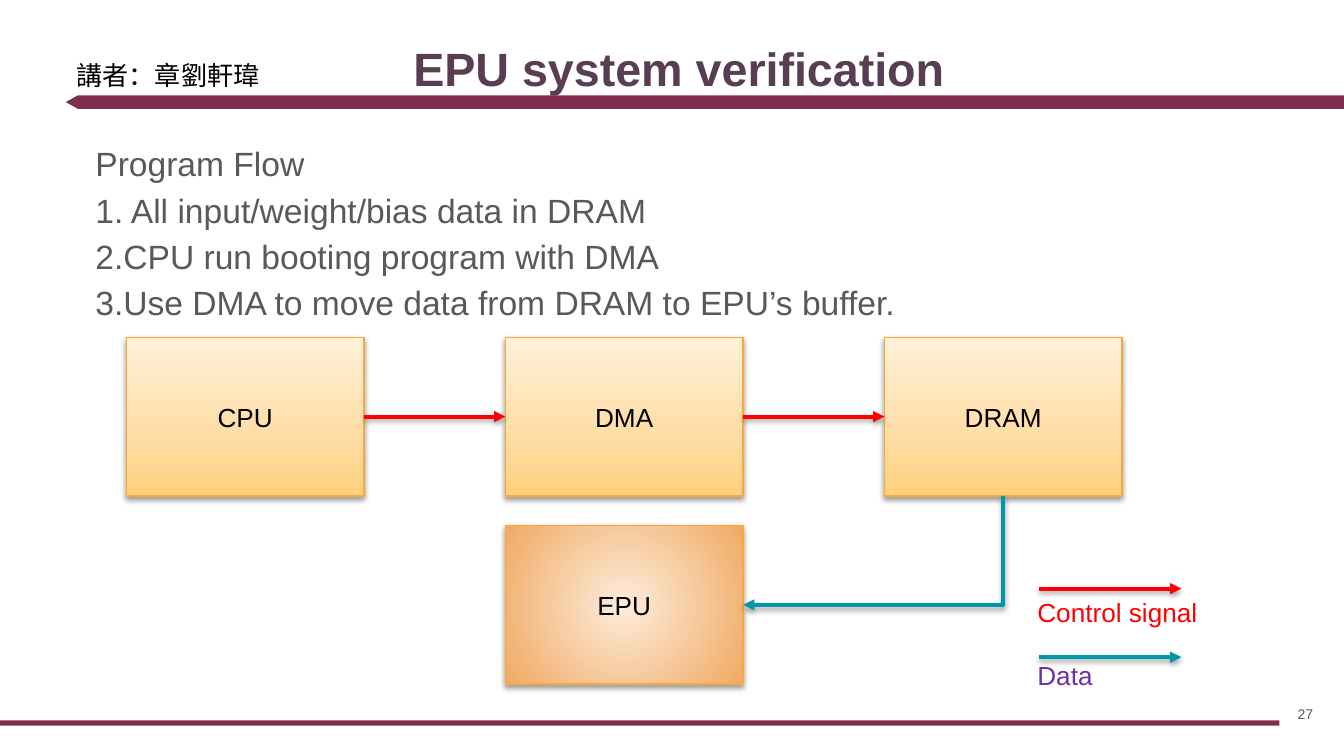
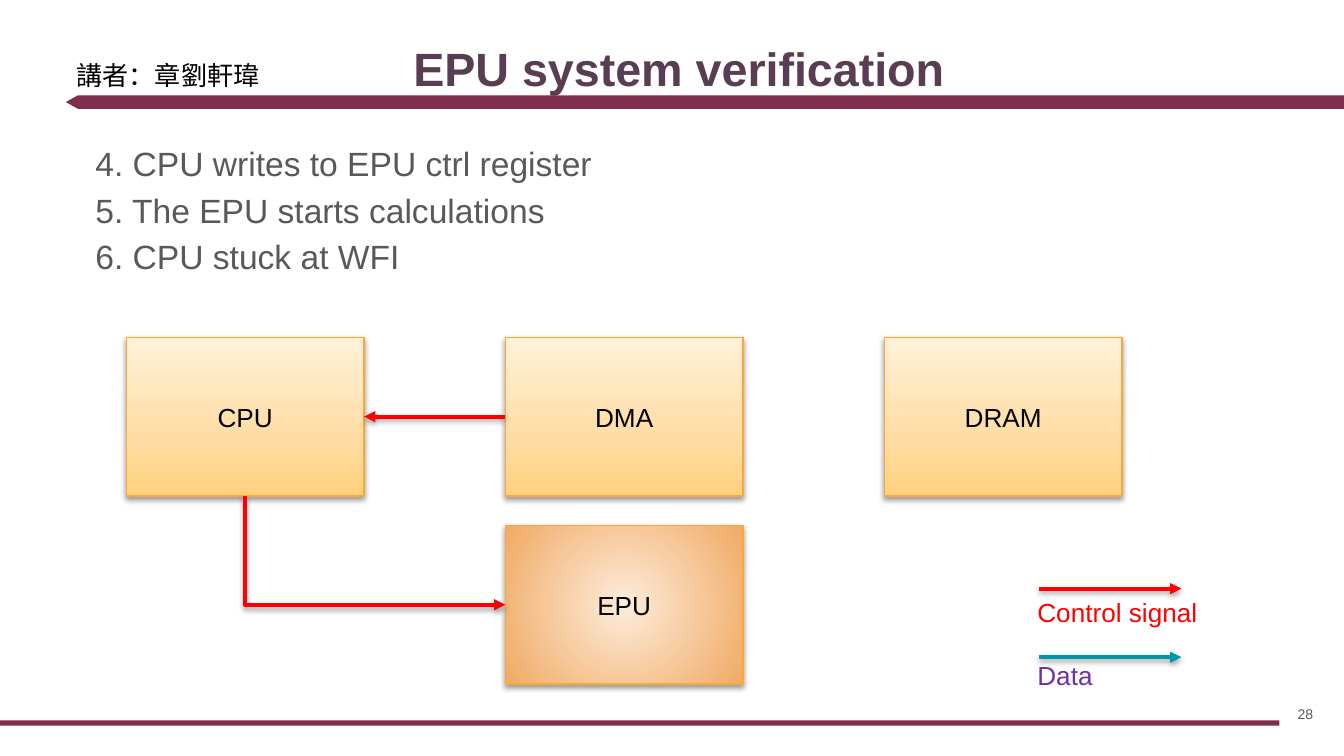
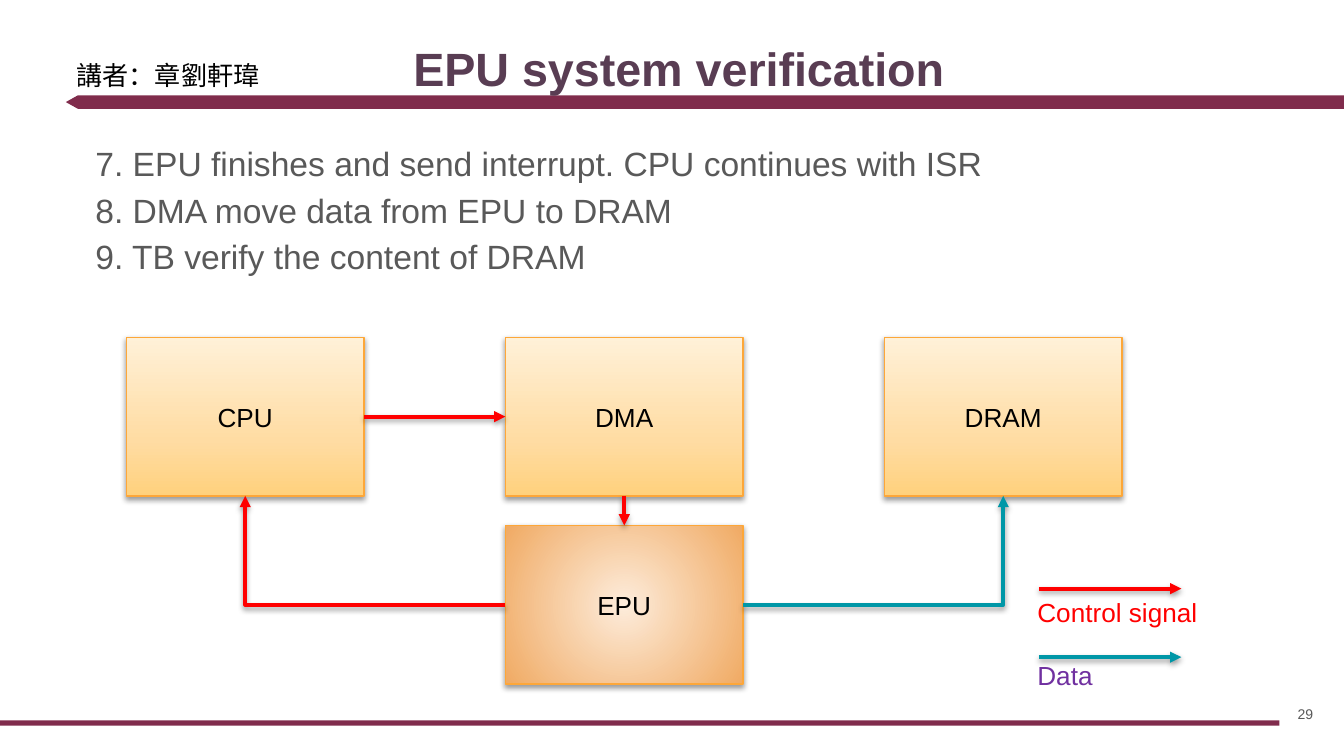
from dataclasses import dataclass

from lxml.etree import SubElement
from pptx import Presentation
from pptx.dml.color import RGBColor
from pptx.enum.shapes import MSO_CONNECTOR as Connector, MSO_SHAPE as Preset
from pptx.enum.text import MSO_ANCHOR as Anchor, MSO_AUTO_SIZE as AutoSize, PP_ALIGN as Align
from pptx.oxml import parse_xml
from pptx.oxml.ns import nsdecls, qn
from pptx.util import Inches, Pt

# Shared look
SLIDE_WIDTH = Inches(10)
SLIDE_HEIGHT = SLIDE_WIDTH * 9 // 16
FONT = "Arial"
WINE = RGBColor(0x80, 0x2C, 0x4C)
PLUM = RGBColor(0x59, 0x3D, 0x53)
GRAY = RGBColor(0x59, 0x59, 0x59)
BLACK = RGBColor(0x00, 0x00, 0x00)
WHITE = RGBColor(0xFF, 0xFF, 0xFF)
RED = RGBColor(0xFF, 0x00, 0x00)
TEAL = RGBColor(0x00, 0x97, 0xA7)
PURPLE = RGBColor(0x70, 0x30, 0xA0)
ORANGE = RGBColor(0xFD, 0xA7, 0x39)
AMBER_STOPS = (
    (0, RGBColor(0xFF, 0xD1, 0x7D)),
    (35, RGBColor(0xFF, 0xDC, 0xA3)),
    (100, RGBColor(0xFF, 0xF1, 0xD8)),
)
PEACH_STOPS = ((0, RGBColor(0xFD, 0xEC, 0xDB)), (100, RGBColor(0xF0, 0xAA, 0x63)))
UPWARD = '<a:lin ang="16200000" scaled="0"/>'
FROM_CENTRE = '<a:path path="circle"><a:fillToRect l="50000" t="50000" r="50000" b="50000"/></a:path>'

TITLE = "EPU system verification"
SPEAKER = "講者：章劉軒瑋"
FIRST_NUMBER = 27

# Block grid and connection sites
BLOCK_LEFT, BLOCK_TOP = 0.94, 2.51
BLOCK_WIDTH, BLOCK_HEIGHT = 1.77, 1.18
COLUMN_STEP, ROW_STEP = 2.82, 1.4
TOP, LEFT, BOTTOM, RIGHT = range(4)


@dataclass(frozen=True)
class Block:
    name: str
    column: int
    row: int = 0
    stops: tuple = AMBER_STOPS
    direction: str = UPWARD


@dataclass(frozen=True)
class Link:
    start: str
    start_side: int
    end: str
    end_side: int
    color: RGBColor = RED
    elbow: bool = False


@dataclass(frozen=True)
class Step:
    lines: tuple
    links: tuple


@dataclass(frozen=True)
class LegendEntry:
    label: str
    label_color: RGBColor
    line_color: RGBColor
    top: float


BLOCKS = (
    Block("CPU", 0),
    Block("DMA", 1),
    Block("EPU", 1, 1, PEACH_STOPS, FROM_CENTRE),
    Block("DRAM", 2),
)
LEGEND = (
    LegendEntry("Control signal", RED, RED, 4.38),
    LegendEntry("Data", PURPLE, TEAL, 4.89),
)
STEPS = (
    Step(
        (
            "Program Flow",
            "1. All input/weight/bias data in DRAM",
            "2.CPU run booting program with DMA",
            "3.Use DMA to move data from DRAM to EPU’s buffer.",
        ),
        (
            Link("CPU", RIGHT, "DMA", LEFT),
            Link("DMA", RIGHT, "DRAM", LEFT),
            Link("DRAM", BOTTOM, "EPU", RIGHT, TEAL, elbow=True),
        ),
    ),
    Step(
        (
            "4. CPU writes to EPU ctrl register",
            "5. The EPU starts calculations",
            "6. CPU stuck at WFI",
        ),
        (
            Link("CPU", BOTTOM, "EPU", LEFT, elbow=True),
            Link("DMA", LEFT, "CPU", RIGHT),
        ),
    ),
    Step(
        (
            "7. EPU finishes and send interrupt. CPU continues with ISR",
            "8. DMA move data from EPU to DRAM",
            "9. TB verify the content of DRAM",
        ),
        (
            Link("EPU", LEFT, "CPU", BOTTOM, elbow=True),
            Link("CPU", RIGHT, "DMA", LEFT),
            Link("DMA", BOTTOM, "EPU", TOP),
            Link("EPU", RIGHT, "DRAM", BOTTOM, TEAL, elbow=True),
        ),
    ),
)


# Text helpers
def place(shape, left: float, top: float, width: float, height: float) -> None:
    shape.left, shape.top = Inches(left), Inches(top)
    shape.width, shape.height = Inches(width), Inches(height)


def prepare_frame(shape, anchor=Anchor.TOP, margin: float = 0.1):
    frame = shape.text_frame
    frame.word_wrap = True
    frame.auto_size = AutoSize.NONE
    frame.vertical_anchor = anchor
    frame.margin_left = frame.margin_right = Inches(0.1)
    frame.margin_top = frame.margin_bottom = Inches(margin)
    return frame


def add_run(paragraph, text: str, size: float, color: RGBColor, bold: bool = False) -> None:
    run = paragraph.add_run()
    run.text = text
    run.font.name = FONT
    run.font.size = Pt(size)
    run.font.bold = bold
    run.font.color.rgb = color


def paragraph_at(frame, index: int):
    return frame.add_paragraph() if index else frame.paragraphs[0]


def add_text_box(slide, left: float, top: float, width: float, height: float):
    return slide.shapes.add_textbox(Inches(left), Inches(top), Inches(width), Inches(height))


# Effects
def add_soft_shadow(shape) -> None:
    effects = SubElement(shape.element.spPr, qn("a:effectLst"))
    effects.append(parse_xml(
        f'<a:outerShdw {nsdecls("a")} blurRad="{Pt(3.1)}" dist="{Pt(1.6)}" dir="5400000" rotWithShape="0">'
        '<a:srgbClr val="000000"><a:alpha val="38000"/></a:srgbClr></a:outerShdw>'
    ))


def set_gradient(shape, stops: tuple, direction: str) -> None:
    stop_list = "".join(
        f'<a:gs pos="{position * 1000}"><a:srgbClr val="{color}"/></a:gs>' for position, color in stops
    )
    gradient = parse_xml(
        f'<a:gradFill {nsdecls("a")} rotWithShape="1"><a:gsLst>{stop_list}</a:gsLst>{direction}</a:gradFill>'
    )
    shape.element.spPr.find(qn("a:prstGeom")).addnext(gradient)


def style_arrow(connector, color: RGBColor) -> None:
    connector.line.color.rgb = color
    connector.line.width = Pt(2)
    SubElement(connector.element.spPr.find(qn("a:ln")), qn("a:tailEnd")).set("type", "triangle")
    add_soft_shadow(connector)


# Shared layout
def add_band(slide, layout, preset, left: float, top: float, width: float, height: float):
    band = slide.shapes.add_shape(preset, Inches(left), Inches(top), Inches(width), Inches(height))
    band.shadow.inherit = False
    band.fill.solid()
    band.fill.fore_color.rgb = WINE
    band.line.fill.background()
    layout.shapes.element.append(band.element)
    return band


def add_layout_bands(slide, layout) -> None:
    header = add_band(slide, layout, Preset.PENTAGON, 0.49, 0.71, 9.51, 0.1)
    header.adjustments[0] = 0.89
    header.element.spPr.find(qn("a:xfrm")).set("flipH", "1")
    add_band(slide, layout, Preset.RECTANGLE, -0.01, 5.36, 9.53, 0.04)


# Slide parts
def fill_title(slide) -> None:
    title = slide.shapes.title
    place(title, 0.39, 0.18, 9.32, 0.63)
    paragraph = prepare_frame(title, Anchor.BOTTOM).paragraphs[0]
    paragraph.alignment = Align.CENTER
    add_run(paragraph, TITLE, 25, PLUM, bold=True)


def fill_body(slide, lines: tuple) -> None:
    body = slide.placeholders[1]
    place(body, 0.61, 0.92, 8.78, 4.07)
    frame = prepare_frame(body)
    for index, line in enumerate(lines):
        paragraph = paragraph_at(frame, index)
        properties = paragraph._p.get_or_add_pPr()
        properties.set("marL", "0")
        properties.set("indent", "0")
        SubElement(properties, qn("a:buNone"))
        paragraph.line_spacing = 1.15
        paragraph.space_before = Pt(0)
        add_run(paragraph, line, 18, GRAY)


def add_slide_number(slide, number: int) -> None:
    box = add_text_box(slide, 9.27, 5.1, 0.6, 0.43)
    paragraph = prepare_frame(box, Anchor.MIDDLE).paragraphs[0]
    paragraph.alignment = Align.RIGHT
    add_run(paragraph, str(number), 7.5, GRAY)


def add_speaker(slide) -> None:
    box = add_text_box(slide, 0.47, 0.39, 1.76, 0.81)
    add_run(prepare_frame(box, margin=0.05).paragraphs[0], SPEAKER, 14, BLACK)


def add_block(slide, block: Block):
    shape = slide.shapes.add_shape(
        Preset.RECTANGLE,
        Inches(BLOCK_LEFT + block.column * COLUMN_STEP),
        Inches(BLOCK_TOP + block.row * ROW_STEP),
        Inches(BLOCK_WIDTH),
        Inches(BLOCK_HEIGHT),
    )
    set_gradient(shape, block.stops, block.direction)
    shape.line.color.rgb = ORANGE
    shape.line.width = Pt(0.75)
    add_soft_shadow(shape)
    paragraph = prepare_frame(shape, Anchor.MIDDLE, 0.05).paragraphs[0]
    paragraph.alignment = Align.CENTER
    add_run(paragraph, block.name, 14, BLACK)
    return shape


def shape_elbow(connector, vertical_first: bool) -> None:
    """Give the connector one bend; a quarter turn makes it leave vertically."""
    connector.element.spPr.find(qn("a:prstGeom")).set("prst", "bentConnector2")
    if not vertical_first:
        return
    goes_left = connector.begin_x > connector.end_x
    width, height = connector.width, connector.height
    connector.left += (width - height) // 2
    connector.top += (height - width) // 2
    connector.width, connector.height = height, width
    transform = connector.element.spPr.find(qn("a:xfrm"))
    transform.set("rot", str((90 if goes_left else 270) * 60000))
    transform.set("flipH", "0" if goes_left else "1")


def add_link(slide, link: Link, blocks: dict) -> None:
    kind = Connector.ELBOW if link.elbow else Connector.STRAIGHT
    connector = slide.shapes.add_connector(kind, 0, 0, 0, 0)
    connector.begin_connect(blocks[link.start], link.start_side)
    connector.end_connect(blocks[link.end], link.end_side)
    if link.elbow:
        shape_elbow(connector, link.start_side in (TOP, BOTTOM))
    style_arrow(connector, link.color)


def add_legend(slide) -> None:
    frame = prepare_frame(add_text_box(slide, 7.62, 4.39, 1.83, 0.81), margin=0.05)
    for index, entry in enumerate(LEGEND):
        paragraph = paragraph_at(frame, index)
        if index:
            paragraph.space_before = Pt(17)
        add_run(paragraph, entry.label, 14, entry.label_color)
        arrow = slide.shapes.add_connector(
            Connector.STRAIGHT, Inches(7.73), Inches(entry.top), Inches(8.79), Inches(entry.top)
        )
        style_arrow(arrow, entry.line_color)


def main() -> None:
    presentation = Presentation()
    presentation.slide_width, presentation.slide_height = SLIDE_WIDTH, SLIDE_HEIGHT
    layout = presentation.slide_layouts[1]
    layout.background.fill.solid()
    layout.background.fill.fore_color.rgb = WHITE

    for index, step in enumerate(STEPS):
        slide = presentation.slides.add_slide(layout)
        if index == 0:
            add_layout_bands(slide, layout)
        fill_title(slide)
        add_slide_number(slide, FIRST_NUMBER + index)
        fill_body(slide, step.lines)
        blocks = {block.name: add_block(slide, block) for block in BLOCKS}
        for link in step.links:
            add_link(slide, link, blocks)
        add_legend(slide)
        add_speaker(slide)

    presentation.save("out.pptx")


if __name__ == "__main__":
    main()
